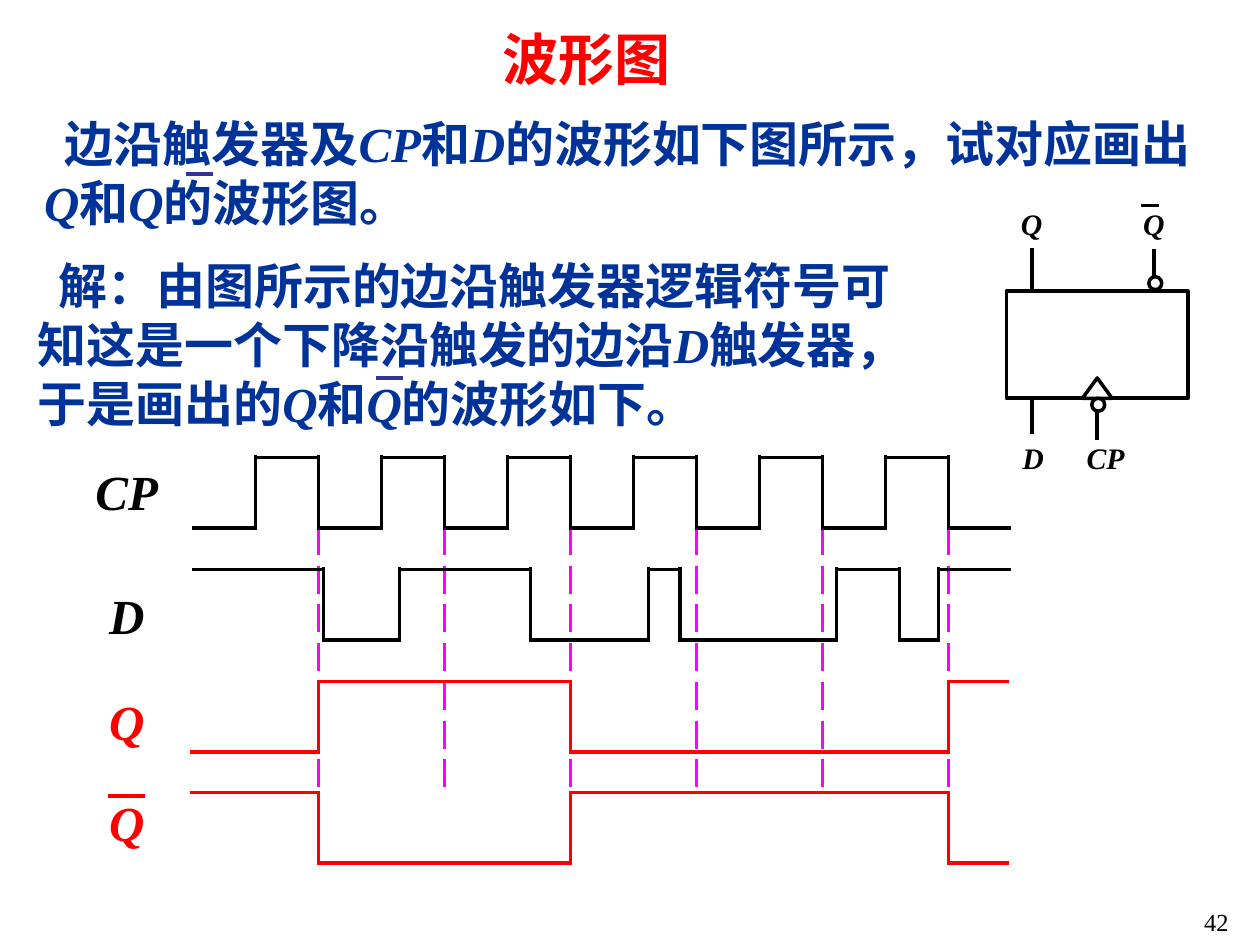
"""Build the slide on the waveforms of an edge-triggered D flip-flop."""
import pptx
import pptx.dml.color
import pptx.enum.dml
import pptx.enum.shapes
import pptx.enum.text
import pptx.oxml
import pptx.oxml.ns
import pptx.util

Cm, Pt = pptx.util.Cm, pptx.util.Pt
RGBColor = pptx.dml.color.RGBColor
SHAPE = pptx.enum.shapes.MSO_SHAPE
ALIGN = pptx.enum.text.PP_ALIGN
BLACK = RGBColor(0x00, 0x00, 0x00)
WHITE = RGBColor(0xFF, 0xFF, 0xFF)
RED = RGBColor(0xFF, 0x00, 0x00)
BLUE = RGBColor(0x00, 0x33, 0x99)
INDIGO = RGBColor(0x33, 0x33, 0x99)
MAGENTA = RGBColor(0xFF, 0x00, 0xFF)
LATIN, HAN = "Times New Roman", "Noto Sans CJK SC"
PERIOD = 2.54
SWING = 1.42
CAP = 0.04


def add_xml(parent, tag, **attributes):
    """Append an empty DrawingML element to the parent."""
    element = pptx.oxml.parse_xml(f"<a:{tag} {pptx.oxml.ns.nsdecls('a')}/>")
    for name, value in attributes.items():
        element.set(name, value)
    parent.append(element)


def add_line(s, x1, y1, x2, y2, color=BLACK, width=2, dash=None):
    """Draw a straight line between two points in centimetres."""
    line = s.shapes.add_connector(
        pptx.enum.shapes.MSO_CONNECTOR.STRAIGHT, Cm(x1), Cm(y1), Cm(x2), Cm(y2))
    line.line.color.rgb = color
    line.line.width = Pt(width)
    if dash:
        line.line.dash_style = dash
    add_xml(line.element.spPr, "effectLst")


def outline(sp):
    """Give a shape a white fill and a black outline."""
    sp.shadow.inherit = False
    sp.fill.solid()
    sp.fill.fore_color.rgb = WHITE
    sp.line.color.rgb = BLACK
    sp.line.width = Pt(2)


def add_text(s, box, texts, size, color, align=ALIGN.CENTER, bold=True, inset=(0, 0), indent=0):
    """Write one paragraph in which Latin symbols are italic."""
    tf = s.shapes.add_textbox(*map(Cm, box)).text_frame
    tf.word_wrap = True
    tf.margin_left = tf.margin_right = Cm(inset[0])
    tf.margin_top = tf.margin_bottom = Cm(inset[1])
    p = tf.paragraphs[0]
    p.alignment = align
    if indent:
        p._p.get_or_add_pPr().set("indent", str(Cm(indent)))
    for text in texts:
        r = p.add_run()
        r.text = text
        r.font.size = Pt(size)
        r.font.bold = bold
        r.font.italic = text.isascii() and text.isalpha()
        r.font.color.rgb = color
        r.font.name = LATIN if text.isascii() else HAN
        add_xml(r._r.get_or_add_rPr(), "ea", typeface=HAN)


def add_passage(s, box, texts, bar_x, bar_y):
    """Write an indented passage and the bar over its second Q."""
    left, top = box[:2]
    add_text(s, box, texts, 28, BLUE, ALIGN.LEFT, inset=(0.25, 0.13), indent=0.42)
    add_line(s, left + bar_x, top + bar_y, left + bar_x + 0.56, top + bar_y, INDIGO)


def add_wave(s, left, top, width, edges, high, color):
    """Draw a square wave that changes level at every edge."""
    start = 0
    for edge in [*edges, width]:
        y = top if high else top + SWING
        add_line(s, left + start, y, left + edge, y, color)
        if edge < width:
            add_line(s, left + edge, top - CAP, left + edge, top + SWING + CAP, color)
        start, high = edge, not high


def add_timing(s, left, top, width):
    """Draw the labelled waveforms and the falling-edge guides."""
    for k in range(6):
        x = left + 4.6 + k * PERIOD
        add_line(s, x, top + 1.4, x, top + 6.73, MAGENTA,
                 dash=pptx.enum.dml.MSO_LINE.LONG_DASH)
    clock = [k * PERIOD / 2 for k in range(1, 13)]
    data = [2.64, 4.17, 6.81, 9.19, 9.83, 12.98, 14.25, 15.04]
    output = [2.59, 7.67, 15.29]
    rows = [
        ("CP", 2.06, 0, 0.08, clock, False, BLACK),
        ("D", 2.06, 2.26, 0.33, data, True, BLACK),
        ("Q", 2.01, 4.52, 0.2, output, False, RED),
        ("Q", 2.01, 6.76, 0, output, True, RED),
    ]
    for label, x, y, drop, edges, high, color in rows:
        add_wave(s, left + x, top + y, width - 2.06, edges, high, color)
        add_text(s, (left, top + y + drop, 1.47, 1.19), [label], 28, color)
    add_line(s, left + 0.36, top + 6.83, left + 1.1, top + 6.83, RED)


def add_symbol(s, left, top, width):
    """Draw the logic symbol of the flip-flop with its pins."""
    pin, middle, inverse = left + 0.51, left + width / 2, left + 2.97
    body_top, body_height = top + 1.73, 2.16
    body_bottom = body_top + body_height
    add_line(s, pin, top + 0.86, pin, body_top)
    add_line(s, pin, body_bottom, pin, top + 4.6)
    add_line(s, inverse, top + 0.89, inverse, body_top)
    add_line(s, middle, body_bottom, middle, top + 4.72)
    outline(s.shapes.add_shape(
        SHAPE.RECTANGLE, Cm(left), Cm(body_top), Cm(width), Cm(body_height)))
    builder = s.shapes.build_freeform(Cm(middle), Cm(body_bottom - 0.41))
    builder.add_line_segments(
        [(Cm(middle + dx), Cm(body_bottom)) for dx in (-0.3, 0.3)], close=True)
    outline(builder.convert_to_shape())
    for x, y in [(inverse - 0.1, body_top - 0.29), (middle - 0.11, body_bottom)]:
        outline(s.shapes.add_shape(SHAPE.OVAL, Cm(x), Cm(y), Cm(0.26), Cm(0.26)))
    labels = [("Q", pin, 0), ("Q", inverse, 0), ("D", pin + 0.03, 4.72),
              ("CP", middle + 0.17, 4.72)]
    for label, x, y in labels:
        add_text(s, (x - 0.5, top + y, 1, 0.71), [label], 17, BLACK)
    add_line(s, inverse - 0.25, top, inverse + 0.1, top, width=1.39)


def main():
    """Assemble and save the slide."""
    prs = pptx.Presentation()
    prs.slide_width, prs.slide_height = Cm(25.4), Cm(19.05)
    s = prs.slides.add_slide(prs.slide_layouts[6])
    add_timing(s, 1.82, 9.22, 18.57)
    add_text(s, (6.4, 0.36, 10.87, 1.63), ["波形图"], 32, RED, inset=(0.25, 0.13))
    add_symbol(s, 20.29, 4.14, 3.66)
    add_passage(s, (0.64, 2.16, 24.08, 2.64),
                ["边沿触发器及", "CP", "和", "D", "的波形如下图所示，试对应画出",
                 "Q", "和", "Q", "的波形图。"], 3.1, 1.35)
    add_passage(s, (0.51, 5.03, 18.67, 3.81),
                ["解：由图所示的边沿触发器逻辑符号可知这是一个下降沿触发的边沿", "D",
                 "触发器，于是画出的", "Q", "和", "Q", "的波形如下。"], 7.06, 2.59)
    add_text(s, (19.74, 18.16, 5.28, 1.27), ["42"], 14, BLACK, ALIGN.RIGHT,
             bold=False, inset=(0.25, 0.13))
    prs.save("out.pptx")


if __name__ == "__main__":
    main()
